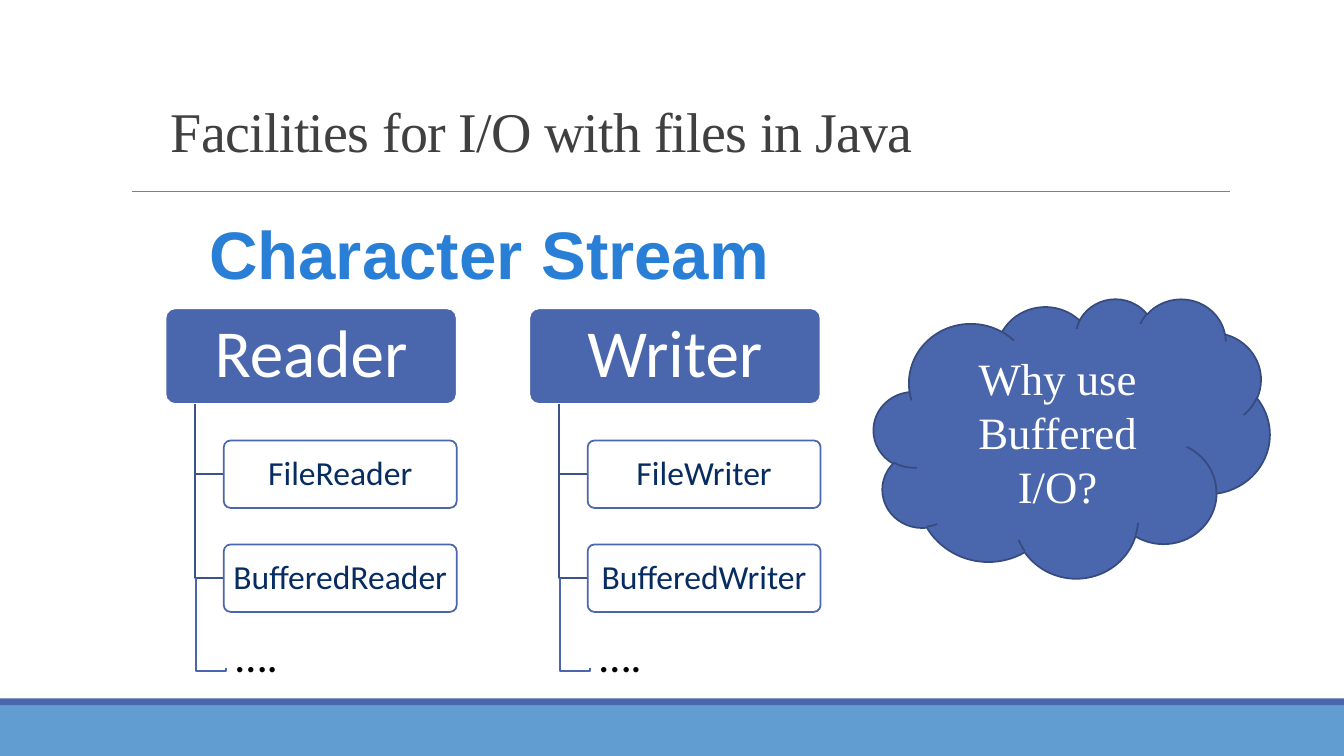
"""Build the slide on Java character streams for file I/O."""
from lxml import etree
from pptx import Presentation
from pptx.dml.color import RGBColor
from pptx.enum import shapes, text
from pptx.oxml import ns
from pptx.util import Cm, Pt

WHITE = RGBColor(0xFF, 0xFF, 0xFF)
BLACK = RGBColor(0x00, 0x00, 0x00)
CHARCOAL = RGBColor(0x40, 0x40, 0x40)
GRAY = RGBColor(0x80, 0x80, 0x80)
INDIGO = RGBColor(0x4A, 0x66, 0xAC)
SKY = RGBColor(0x62, 0x9D, 0xD1)
TRUNK = RGBColor(0x3B, 0x52, 0x8A)
CLOUD_EDGE = RGBColor(0x37, 0x4B, 0x7F)
NAVY = RGBColor(0x07, 0x2C, 0x62)
AZURE = RGBColor(0x29, 0x7F, 0xD5)

KIND = shapes.MSO_SHAPE
LINK = shapes.MSO_CONNECTOR
CENTER = text.PP_ALIGN.CENTER
MIDDLE = text.MSO_ANCHOR.MIDDLE


def write(box, words, size, color, font="Calibri", bold=False, align=text.PP_ALIGN.LEFT,
          anchor=text.MSO_ANCHOR.TOP, spacing=1.0, tracking=0, inset=(0.25, 0.13)):
    frame = box.text_frame
    frame.word_wrap = True
    frame.vertical_anchor = anchor
    frame.margin_left = frame.margin_right = Cm(inset[0])
    frame.margin_top = frame.margin_bottom = Cm(inset[1])
    para = frame.paragraphs[0]
    para.alignment = align
    para.line_spacing = spacing
    span = para.add_run()
    span.text = words
    span.font.size = Pt(size)
    span.font.name = font
    span.font.bold = bold
    span.font.color.rgb = color
    if tracking:
        span.font._element.set("spc", str(round(tracking * 100)))


class Painter:
    def __init__(self, page):
        self.page = page
        self.heading = {"size": 48, "color": WHITE, "align": CENTER, "anchor": MIDDLE,
                        "spacing": 0.9, "inset": (0.25, 0.18)}
        self.entry = {**self.heading, "size": 24, "color": NAVY, "inset": (0.13, 0.08)}

    def shape(self, kind, left, top, width, height, fill, line=None):
        box = self.page.shapes.add_shape(kind, Cm(left), Cm(top), Cm(width), Cm(height))
        box.shadow.inherit = False
        box.fill.solid()
        box.fill.fore_color.rgb = fill
        if line is None:
            box.line.fill.background()
        else:
            self.stroke(box, line, 1.25)
        return box

    def card(self, left, top, width, height, fill, line, words, style):
        box = self.shape(KIND.ROUNDED_RECTANGLE, left, top, width, height, fill, line)
        box.adjustments[0] = 0.1
        write(box, words, **style)

    def label(self, left, top, width, height, words, **style):
        box = self.page.shapes.add_textbox(Cm(left), Cm(top), Cm(width), Cm(height))
        write(box, words, **style)

    def stroke(self, item, color, width):
        item.line.color.rgb = color
        item.line.width = Pt(width)

    def connector(self, kind, start, end, color, width):
        link = self.page.shapes.add_connector(kind, *map(Cm, start + end))
        self.stroke(link, color, width)
        etree.SubElement(link._element.spPr, ns.qn("a:effectLst"))
        return link

    def branch(self, left, top, bottom, right):
        builder = self.page.shapes.build_freeform(Cm(left), Cm(top))
        builder.add_line_segments([(Cm(left), Cm(bottom)), (Cm(right), Cm(bottom))], close=False)
        outline = builder.convert_to_shape()
        outline.shadow.inherit = False
        outline.fill.background()
        self.stroke(outline, TRUNK, 1.25)

    def hook(self, left, top):
        link = self.connector(LINK.ELBOW, (left + 2.29, top), (left, top + 0.76), INDIGO, 1.5)
        properties = link._element.spPr
        properties.find(ns.qn("a:xfrm")).set("rot", str(270 * 60000))
        guides = properties.find(ns.qn("a:prstGeom")).find(ns.qn("a:avLst"))
        etree.SubElement(guides, ns.qn("a:gd"), name="adj1", fmla="val 102900")

    def tree(self, left, root, children):
        top, height = 7.77, 2.41
        child_left, child_height = left + 1.47, 1.7
        self.card(left, top, 7.34, height, INDIGO, WHITE, root, self.heading)
        for row, child in enumerate(children):
            child_top = 11.1 + row * 2.62
            self.branch(left + 0.74, top + height, child_top + child_height / 2, child_left)
            self.card(child_left, child_top, 5.87, child_height, WHITE, INDIGO, child, self.entry)
        self.hook(left, 15.32)
        self.label(left + 1.52, 15.7, 2.59, 1.63, "….", size=32, color=BLACK)


deck = Presentation()
deck.slide_width, deck.slide_height = Cm(33.87), Cm(19.05)
painter = Painter(deck.slides.add_slide(deck.slide_layouts[6]))

painter.shape(KIND.RECTANGLE, 0, 17.78, 33.87, 1.27, SKY)
painter.shape(KIND.RECTANGLE, 0, 17.6, 33.87, 0.18, INDIGO)
painter.connector(LINK.STRAIGHT, (3.33, 4.83), (30.99, 4.83), GRAY, 0.5)
painter.label(4.06, 0.23, 27.94, 4.04, "Facilities for I/O with files in Java", size=40,
              color=CHARCOAL, font="Times New Roman", anchor=text.MSO_ANCHOR.BOTTOM,
              spacing=0.85, tracking=-0.5)
painter.label(5.0, 5.21, 14.66, 2.31, "Character Stream", size=48, color=AZURE,
              font="Arial", bold=True, align=CENTER)

for column, name in enumerate(("Reader", "Writer")):
    painter.tree(4.17 + column * 9.17, name, [prefix + name for prefix in ("File", "Buffered")])

cloud = painter.shape(KIND.CLOUD, 22.02, 7.52, 9.98, 7.04, INDIGO, CLOUD_EDGE)
write(cloud, "Why use Buffered I/O?", size=32, color=WHITE, font="Times New Roman",
      align=CENTER, anchor=MIDDLE)

deck.save("out.pptx")
